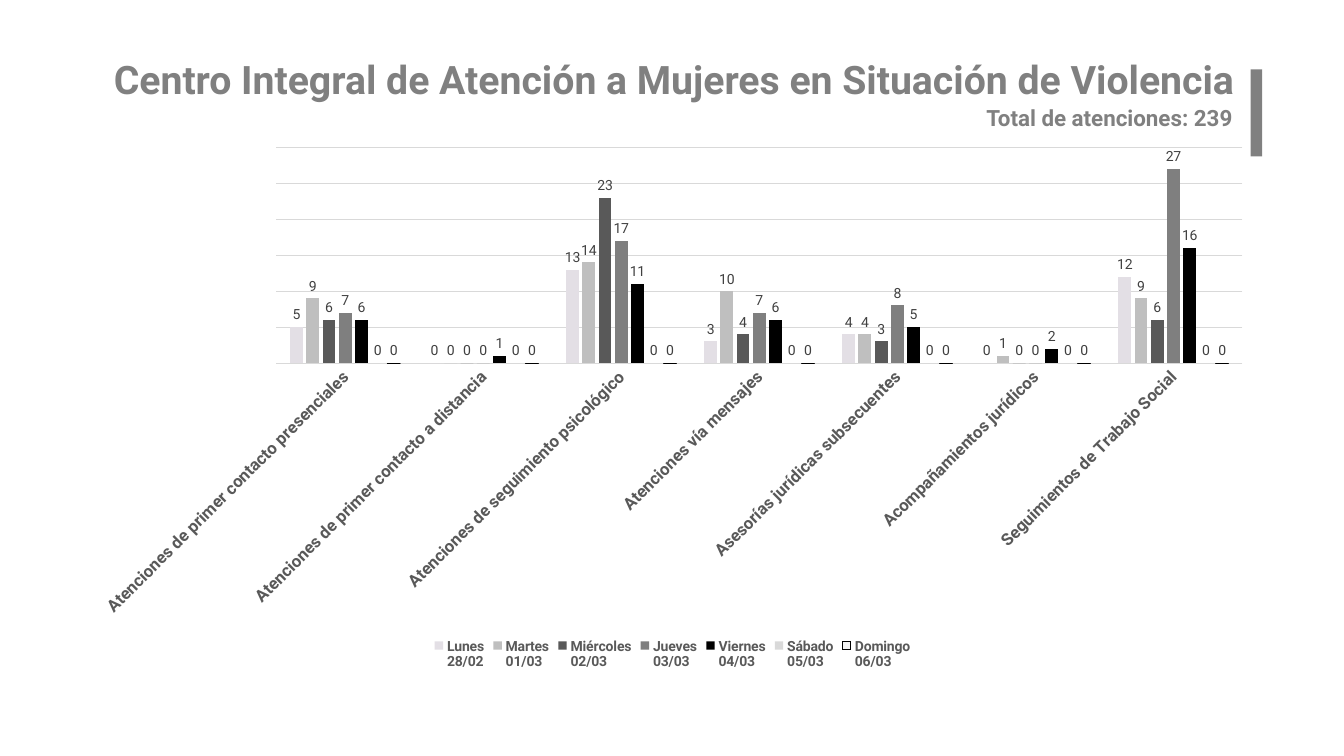
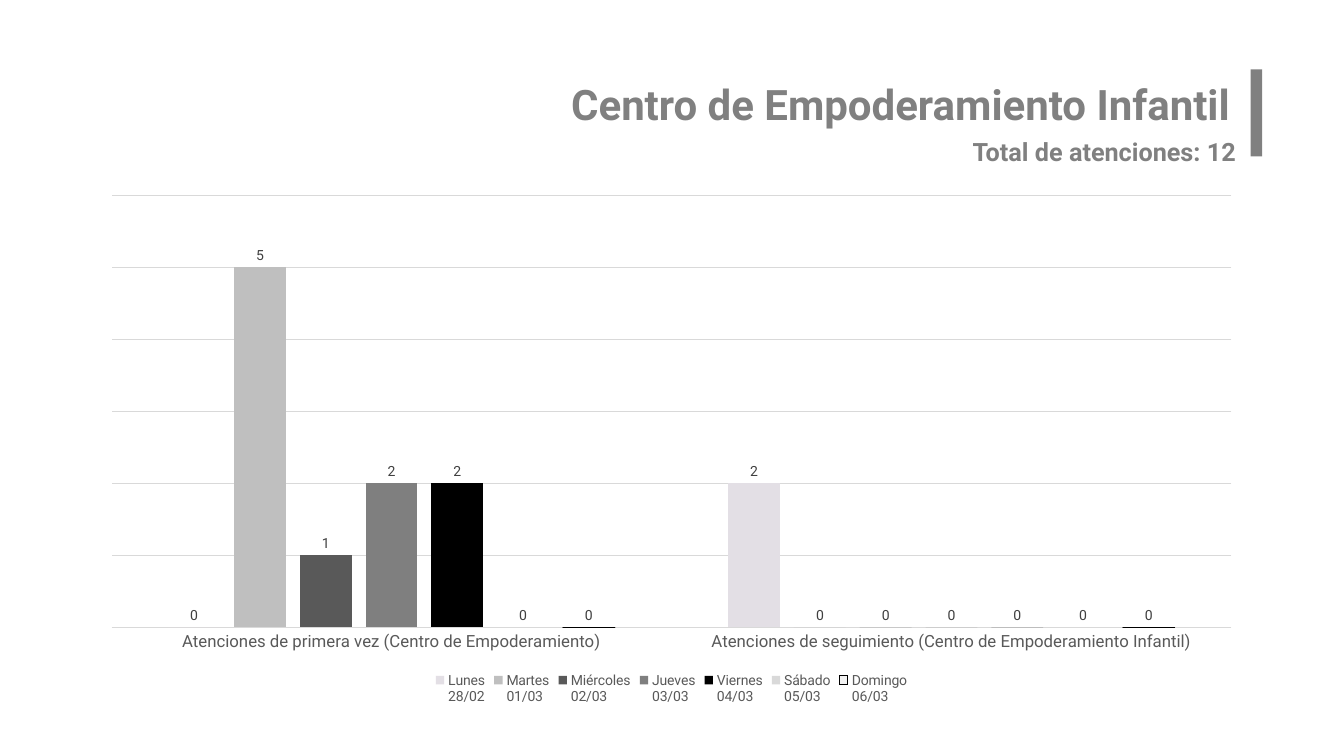
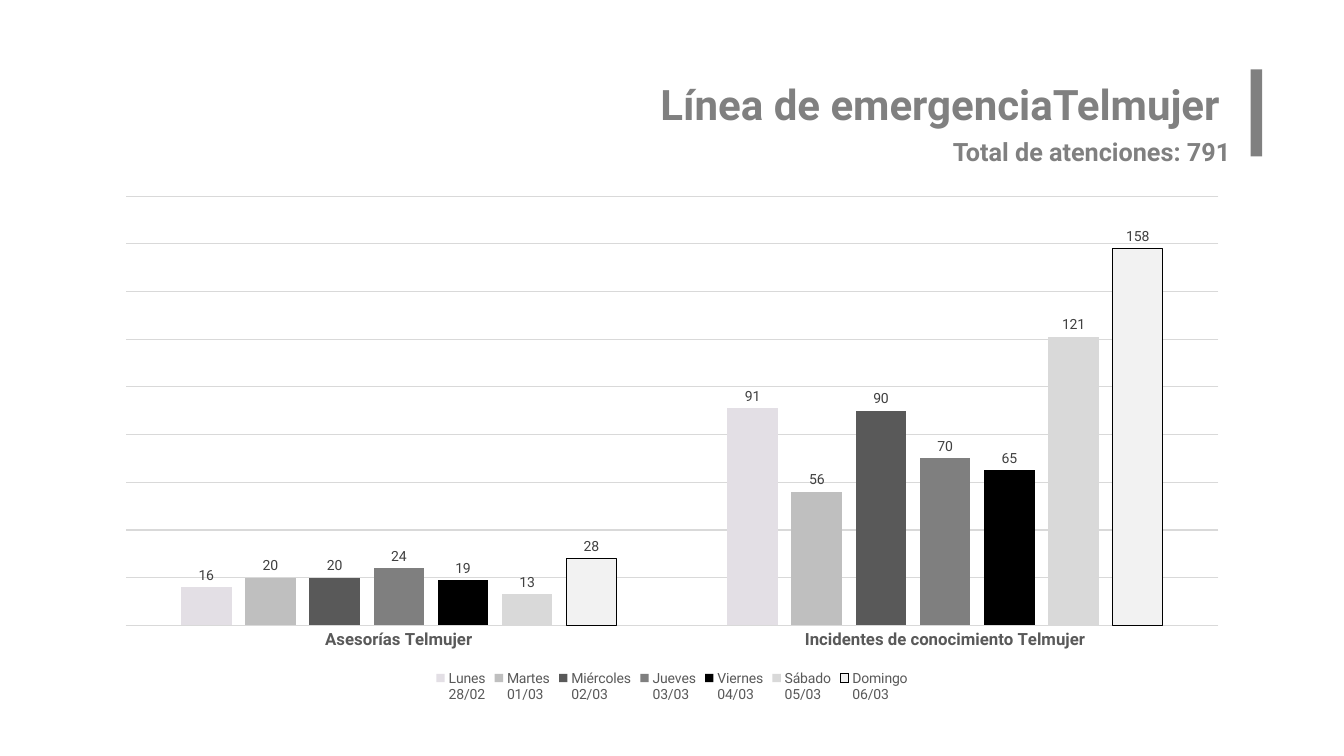
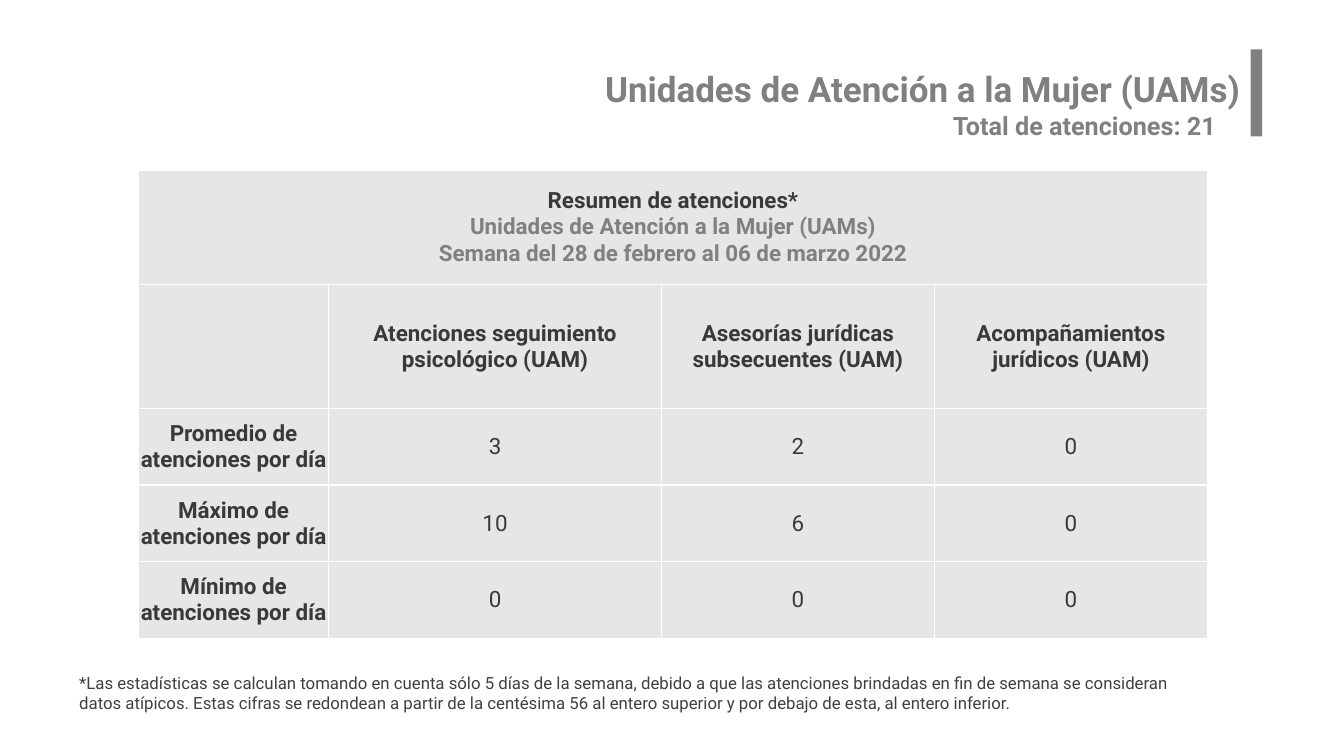
"""Builds the weekly report of services for women: three charts and a summary table."""
from lxml import etree
from pptx import Presentation
from pptx.chart.data import CategoryChartData
from pptx.dml.color import RGBColor
from pptx.enum.chart import XL_CHART_TYPE, XL_LABEL_POSITION, XL_LEGEND_POSITION, XL_TICK_MARK
from pptx.enum.shapes import MSO_SHAPE
from pptx.enum.text import MSO_ANCHOR, MSO_AUTO_SIZE, PP_ALIGN
from pptx.oxml.ns import qn
from pptx.util import Pt

CLUSTERED = XL_CHART_TYPE.COLUMN_CLUSTERED
OUTSIDE_END = XL_LABEL_POSITION.OUTSIDE_END
BOTTOM = XL_LEGEND_POSITION.BOTTOM
NO_TICK = XL_TICK_MARK.NONE
RECTANGLE = MSO_SHAPE.RECTANGLE
TOP, MIDDLE = MSO_ANCHOR.TOP, MSO_ANCHOR.MIDDLE
NO_AUTOFIT = MSO_AUTO_SIZE.NONE
LEFT, CENTER, RIGHT = PP_ALIGN.LEFT, PP_ALIGN.CENTER, PP_ALIGN.RIGHT

PX = 9525
FONT = "Roboto"
GRAY, DARK, TEXT = "808080", "3B3838", "404040"
AXIS_TEXT, GRID, CELL, WHITE, BLACK = "595959", "D9D9D9", "E7E6E6", "FFFFFF", "000000"
TITLE_ONLY = 5

DAYS = [
    ("Lunes\n28/02", "E3DFE5"),
    ("Martes\n01/03", "BFBFBF"),
    ("Miércoles\n02/03", "595959"),
    ("Jueves\n03/03", "7F7F7F"),
    ("Viernes\n04/03", "000000"),
    ("Sábado\n05/03", "D9D9D9"),
    ("Domingo\n06/03", "F2F2F2"),
]

HEADINGS = [
    {"title": "Centro Integral de Atención a Mujeres en Situación de Violencia",
     "title_box": (60, 43, 1134, 84), "title_size": 28, "inset": (19, 10),
     "total": 239, "total_box": (930, 94, 274, 36), "total_size": 16, "bar_top": 66},
    {"title": "Centro de Empoderamiento Infantil",
     "title_box": (205, 65, 986, 84), "title_size": 30, "inset": (19, 10),
     "total": 12, "total_box": (917, 125, 275, 38), "total_size": 18, "bar_top": 66},
    {"title": "Línea de emergenciaTelmujer",
     "title_box": (195, 65, 986, 84), "title_size": 30, "inset": (19, 10),
     "total": 791, "total_box": (898, 125, 294, 38), "total_size": 18, "bar_top": 66},
    {"title": "Unidades de Atención a la Mujer (UAMs)",
     "title_box": (66, 59, 1125, 50), "title_size": 25, "inset": (10, 5),
     "total": 21, "total_box": (898, 100, 294, 38), "total_size": 18, "bar_top": 47},
]

CHARTS = [
    {"box": (75, 130, 1131, 512), "top_value": 30, "step": 5,
     "bold_axis": True, "bold_legend": True, "rotation": "-2700000",
     "services": {
         "Atenciones de primer contacto presenciales": (5, 9, 6, 7, 6, 0, 0),
         "Atenciones de primer contacto a distancia": (0, 0, 0, 0, 1, 0, 0),
         "Atenciones de seguimiento psicológico": (13, 14, 23, 17, 11, 0, 0),
         "Atenciones vía mensajes": (3, 10, 4, 7, 6, 0, 0),
         "Asesorías jurídicas subsecuentes": (4, 4, 3, 8, 5, 0, 0),
         "Acompañamientos jurídicos": (0, 1, 0, 0, 2, 0, 0),
         "Seguimientos de Trabajo Social": (12, 9, 6, 27, 16, 0, 0)}},
    {"box": (84, 176, 1111, 499), "top_value": 6, "step": 1,
     "bold_axis": False, "bold_legend": False, "rotation": "-60000000",
     "services": {
         "Atenciones de primera vez (Centro de Empoderamiento)": (0, 5, 1, 2, 2, 0, 0),
         "Atenciones de seguimiento (Centro de Empoderamiento Infantil)": (2, 0, 0, 0, 0, 0, 0)}},
    {"box": (98, 177, 1084, 496), "top_value": 180, "step": 20,
     "bold_axis": True, "bold_legend": False, "rotation": "-60000000",
     "services": {
         "Asesorías Telmujer": (16, 20, 20, 24, 19, 13, 28),
         "Incidentes de conocimiento Telmujer": (91, 56, 90, 70, 65, 121, 158)}},
]

SUMMARY = [
    ["Resumen de atenciones*\nUnidades de Atención a la Mujer (UAMs)\n"
     "Semana del 28 de febrero al 06 de marzo 2022", "", "", ""],
    ["", "Atenciones seguimiento psicológico (UAM)",
     "Asesorías jurídicas subsecuentes (UAM)", "Acompañamientos jurídicos (UAM)"],
    ["Promedio de atenciones por día", "3", "2", "0"],
    ["Máximo de atenciones por día", "10", "6", "0"],
    ["Mínimo de atenciones por día", "0", "0", "0"],
]
COLUMN_WIDTHS = (181, 317, 260, 260)
ROW_HEIGHTS = (109, 118, 73, 73, 73)
NOTE = ("*Las estadísticas se calculan tomando en cuenta sólo 5 días de la semana, debido a que las "
        "atenciones brindadas en fin de semana se consideran datos atípicos. Estas cifras se redondean "
        "a partir de la centésima 56 al entero superior y por debajo de esta, al entero inferior.")


def style(font, size, color, bold=False):
    font.name, font.size, font.bold = FONT, Pt(size), bold
    font.color.rgb = RGBColor.from_string(color)


def write(frame, text, size, color, bold, align):
    frame.text = text
    for paragraph in frame.paragraphs:
        paragraph.alignment = align
        style(paragraph.font, size, color, bold)


prs = Presentation()
prs.slide_width, prs.slide_height = 1280 * PX, 720 * PX

slides = []
for heading in HEADINGS:
    slide = prs.slides.add_slide(prs.slide_layouts[TITLE_ONLY])
    slides.append(slide)

    title = slide.shapes.title
    title.left, title.top, title.width, title.height = (v * PX for v in heading["title_box"])
    frame = title.text_frame
    frame.word_wrap, frame.auto_size, frame.vertical_anchor = True, NO_AUTOFIT, TOP
    side, edge = heading["inset"]
    frame.margin_left = frame.margin_right = side * PX
    frame.margin_top = frame.margin_bottom = edge * PX
    write(frame, heading["title"], heading["title_size"], GRAY, True, RIGHT)

    total = slide.shapes.add_textbox(*(v * PX for v in heading["total_box"])).text_frame
    total.word_wrap = True
    write(total, f"Total de atenciones: {heading['total']}", heading["total_size"], GRAY, True, LEFT)

    bar = slide.shapes.add_shape(RECTANGLE, 1191 * PX, heading["bar_top"] * PX, 11 * PX, 83 * PX)
    bar.shadow.inherit = False
    bar.fill.solid()
    bar.fill.fore_color.rgb = RGBColor.from_string(GRAY)
    bar.line.fill.background()

for slide, content in zip(slides, CHARTS):
    services = content["services"]
    data = CategoryChartData()
    data.categories = list(services)
    for (day, _), values in zip(DAYS, zip(*services.values())):
        data.add_series(day, values)
    chart = slide.shapes.add_chart(CLUSTERED, *(v * PX for v in content["box"]), data).chart
    style(chart.font, 10, BLACK)
    chart.has_title = False
    chart.has_legend = True
    chart.legend.position = BOTTOM
    chart.legend.include_in_layout = False
    style(chart.legend.font, 10, AXIS_TEXT, content["bold_legend"])

    service_axis = chart.category_axis
    service_axis.major_tick_mark = service_axis.minor_tick_mark = NO_TICK
    style(service_axis.tick_labels.font, 12, AXIS_TEXT, content["bold_axis"])
    label_body = service_axis.format.line and chart.element.find(f".//{qn('c:catAx')}/{qn('c:txPr')}/{qn('a:bodyPr')}")
    label_body.set("rot", content["rotation"])
    label_body.set("vert", "horz")

    count_axis = chart.value_axis
    count_axis.visible = False
    count_axis.has_major_gridlines = True
    count_axis.minimum_scale, count_axis.maximum_scale = 0, content["top_value"]
    count_axis.major_unit = content["step"]
    for line in (service_axis.format.line, count_axis.major_gridlines.format.line):
        line.color.rgb = RGBColor.from_string(GRID)
        line.width = Pt(0.75)

    plot = chart.plots[0]
    plot.gap_width, plot.overlap, plot.vary_by_categories = 219, -27, False
    for series, (_, color) in zip(plot.series, DAYS):
        series.invert_if_negative = False
        series.format.fill.solid()
        series.format.fill.fore_color.rgb = RGBColor.from_string(color)
        series.format.line.fill.background()
        labels = series.data_labels
        labels.show_value = True
        labels.position = OUTSIDE_END
        style(labels.font, 10, TEXT)
    sunday_outline = plot.series[-1].format.line
    sunday_outline.color.rgb = RGBColor.from_string(BLACK)
    sunday_outline.width = Pt(0.75)

units = slides[-1]
summary = units.shapes.add_table(
    len(ROW_HEIGHTS), len(COLUMN_WIDTHS), 132 * PX, 162 * PX,
    sum(COLUMN_WIDTHS) * PX, sum(ROW_HEIGHTS) * PX).table
summary.first_row = summary.horz_banding = False
for column, width in zip(summary.columns, COLUMN_WIDTHS):
    column.width = width * PX
for row, height in zip(summary.rows, ROW_HEIGHTS):
    row.height = height * PX

for r, texts in enumerate(SUMMARY):
    for c, text in enumerate(texts):
        cell = summary.cell(r, c)
        cell.margin_left = cell.margin_right = cell.margin_top = cell.margin_bottom = 0
        cell.vertical_anchor = MIDDLE
        if text:
            write(cell.text_frame, text, 16, DARK, r < 2 or c == 0, CENTER)
        properties = cell._tc.get_or_add_tcPr()
        for side in ("a:lnL", "a:lnR", "a:lnT", "a:lnB"):
            border = etree.SubElement(properties, qn(side), w=str(Pt(1)))
            border_fill = etree.SubElement(border, qn("a:solidFill"))
            etree.SubElement(border_fill, qn("a:srgbClr"), val=WHITE)
        cell.fill.solid()
        cell.fill.fore_color.rgb = RGBColor.from_string(CELL)
summary.cell(0, 0).merge(summary.cell(0, 3))
for subtitle in summary.cell(0, 0).text_frame.paragraphs[1:]:
    subtitle.font.color.rgb = RGBColor.from_string(GRAY)

note = units.shapes.add_textbox(66 * PX, 636 * PX, 1061 * PX, 48 * PX).text_frame
note.word_wrap = True
write(note, NOTE, 12, TEXT, False, LEFT)

prs.save("out.pptx")
